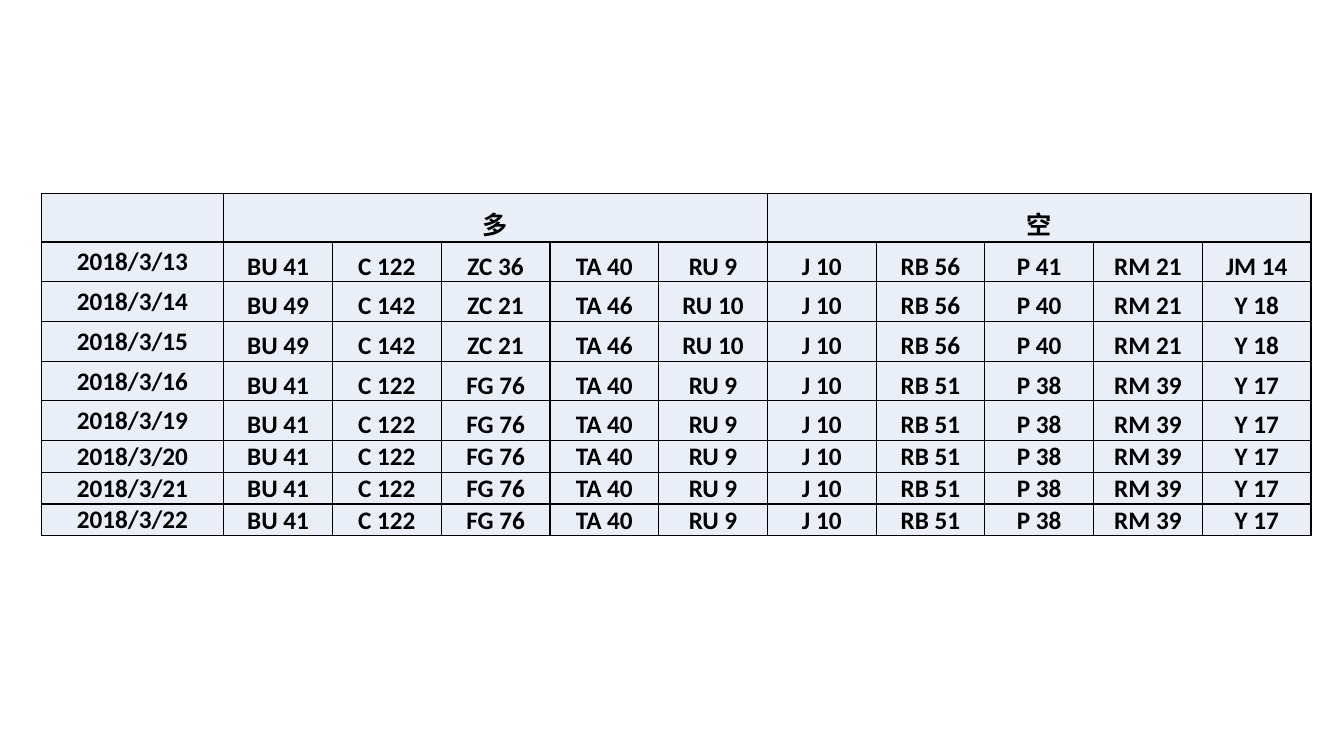
from lxml.etree import SubElement
from pptx import Presentation
from pptx.dml.color import RGBColor
from pptx.enum.text import MSO_ANCHOR as Anchor, PP_ALIGN as Align
from pptx.oxml.ns import qn
from pptx.util import Cm, Pt

PALE_BLUE = RGBColor(0xEA, 0xEF, 0xF7)
BLACK = RGBColor(0x00, 0x00, 0x00)

MID_MARCH = "BU 49,C 142,ZC 21,TA 46,RU 10,J 10,RB 56,P 40,RM 21,Y 18"
LATE_MARCH = "BU 41,C 122,FG 76,TA 40,RU 9,J 10,RB 51,P 38,RM 39,Y 17"
POSITIONS = {
    "2018/3/13": "BU 41,C 122,ZC 36,TA 40,RU 9,J 10,RB 56,P 41,RM 21,JM 14",
    **dict.fromkeys(["2018/3/14", "2018/3/15"], MID_MARCH),
    **dict.fromkeys([f"2018/3/{day}" for day in (16, 19, 20, 21, 22)], LATE_MARCH),
}
SIDES = {1: "多", 6: "空"}
SIDE_SPAN = 5
COLUMN_WIDTHS = [4.6] + [2.74] * 10
ROW_HEIGHTS = [1.23] + [1.0] * 5 + [0.8] * 3


def add_borders(cell):
    """Draw a thin black line on every side of a cell."""
    properties = cell._tc.get_or_add_tcPr()
    for side in ("a:lnL", "a:lnR", "a:lnT", "a:lnB"):
        line = SubElement(properties, qn(side), w=str(Pt(1)))
        fill = SubElement(line, qn("a:solidFill"))
        SubElement(fill, qn("a:srgbClr"), val=str(BLACK))


def style_cell(cell):
    """Give a cell its borders, fill and margins."""
    add_borders(cell)
    cell.fill.solid()
    cell.fill.fore_color.rgb = PALE_BLUE
    cell.margin_left = cell.margin_right = cell.margin_top = Cm(0.02)
    cell.margin_bottom = 0


def write_cell(cell, text, anchor=Anchor.BOTTOM):
    """Write bold centred text in a cell."""
    cell.text_frame.text = text
    cell.vertical_anchor = anchor
    paragraph = cell.text_frame.paragraphs[0]
    paragraph.alignment = Align.CENTER
    font = paragraph.runs[0].font
    font.name = "Calibri"
    font.size = Pt(18)
    font.bold = True
    font.color.rgb = BLACK


def add_grid(slide):
    """Add the empty styled table and return it."""
    table = slide.shapes.add_table(
        len(ROW_HEIGHTS), len(COLUMN_WIDTHS), Cm(1.04), Cm(4.87),
        Cm(sum(COLUMN_WIDTHS)), Cm(sum(ROW_HEIGHTS))).table
    table.first_row = table.horz_banding = False
    for column, width in zip(table.columns, COLUMN_WIDTHS):
        column.width = Cm(width)
    for row, height in zip(table.rows, ROW_HEIGHTS):
        row.height = Cm(height)
    for cell in table.iter_cells():
        style_cell(cell)
    return table


def fill_positions(table):
    """Write the side headings and the positions of each day."""
    for first, side in SIDES.items():
        heading = table.cell(0, first)
        heading.merge(table.cell(0, first + SIDE_SPAN - 1))
        write_cell(heading, side)
    for row, (date, contracts) in enumerate(POSITIONS.items(), start=1):
        write_cell(table.cell(row, 0), date, Anchor.MIDDLE)
        for column, contract in enumerate(contracts.split(","), start=1):
            write_cell(table.cell(row, column), contract)


def main():
    """Build the slide and save it."""
    presentation = Presentation()
    presentation.slide_width = Cm(33.87)
    presentation.slide_height = Cm(19.05)
    slide = presentation.slides.add_slide(presentation.slide_layouts[6])
    fill_positions(add_grid(slide))
    presentation.save("out.pptx")


if __name__ == "__main__":
    main()
